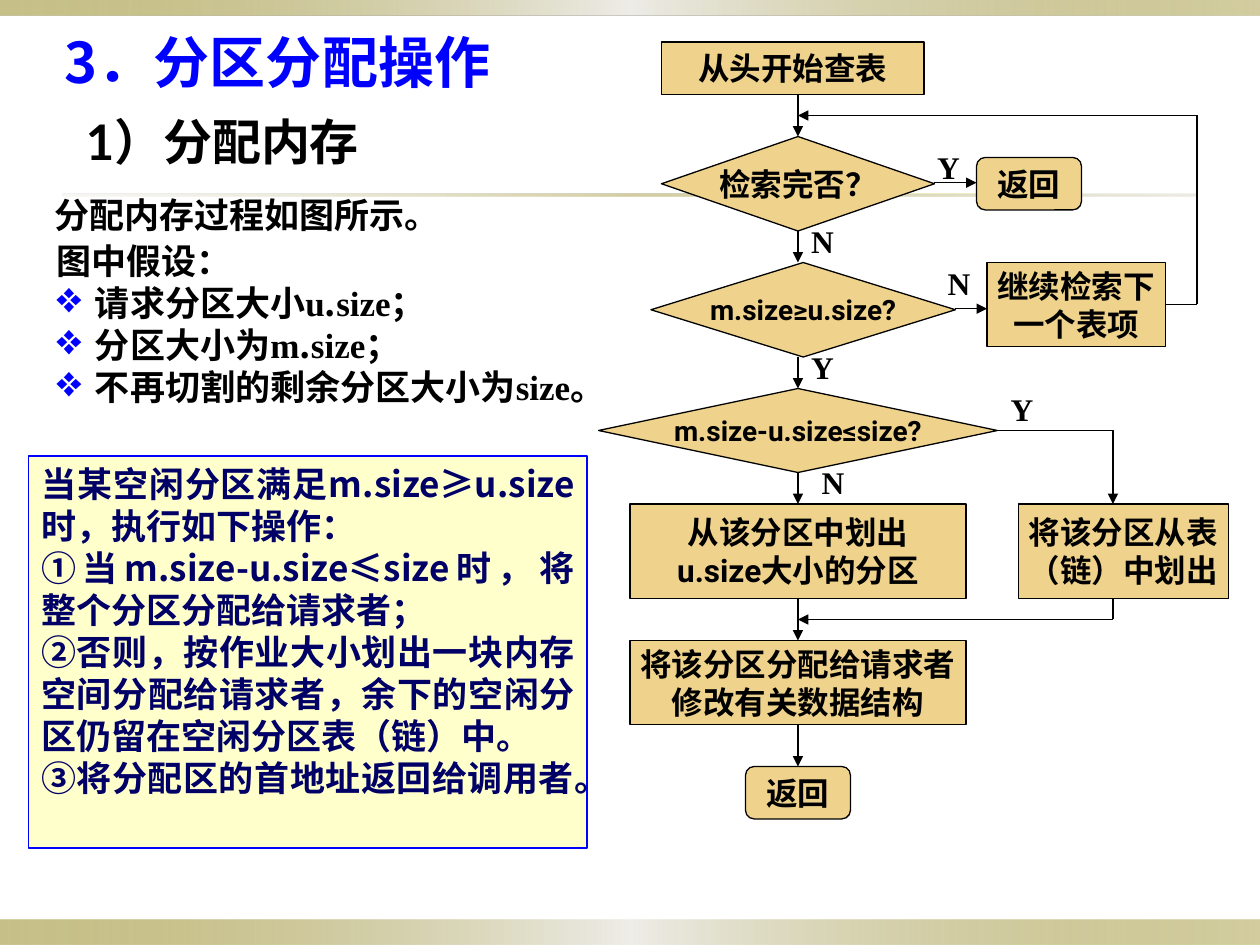
from lxml.etree import SubElement
from pptx import Presentation
from pptx.dml.color import RGBColor
from pptx.enum.shapes import MSO_CONNECTOR, MSO_SHAPE
from pptx.enum.text import MSO_ANCHOR, PP_ALIGN
from pptx.oxml import parse_xml
from pptx.oxml.ns import nsdecls, qn
from pptx.util import Pt

CJK, SERIF, FLOW, TITLE = "Noto Sans CJK SC", "Times New Roman", "Roboto", "Lato"
BLACK, BLUE, NAVY, TAN, CREAM = "000000", "0000FF", "000066", "EFD28C", "FFFFCC"

# (left, top, width, height), gradient stops as (position, colour, opacity) in percent
EDGE = [(0, "918415", 50), (50, "EEEDE8", 100), (100, "918415", 40)]
RULE = [(0, "DCD9CC", 20), (50, "918415", 40), (100, "DCD9CC", 50)]
BANDS = [((0, 525.6, 720, 14.4), EDGE), ((0, 0, 720, 8.64), EDGE),
         ((36, 110.9, 648, 1.44), RULE)]

# (left, top, width, height), size, paragraphs of (text, font) runs
TEXTS = [
    ((30, 12, 324, 45.6), 32, BLUE, [[("3．分区分配操作", CJK)]]),
    ((42, 60, 240, 41), 28, BLACK, [[("1", TITLE), ("）分配内存", CJK)]]),
    ((24, 107.3, 315, 31), 20, BLACK, [[("分配内存过程如图所示。", SERIF)]]),
]
ASSUMPTIONS = [
    [("图中假设：", SERIF)],
    [("请求分区大小u", SERIF), (".", CJK), ("size；", SERIF)],
    [("分区大小为m", SERIF), (".", CJK), ("size；", SERIF)],
    [("不再切割的剩余分区大小为size。", SERIF)],
]
STEPS = [
    "当某空闲分区满足m.size≥u.size时，执行如下操作：",
    "①当m.size-u.size≤size时，将整个分区分配给请求者；",
    "②否则，按作业大小划出一块内存空间分配给请求者，余下的空闲分区仍留在空闲分区表（链）中。",
    "③将分配区的首地址返回给调用者。",
]

PROCESS = MSO_SHAPE.FLOWCHART_PROCESS
DECISION = MSO_SHAPE.FLOWCHART_DECISION
END = MSO_SHAPE.FLOWCHART_ALTERNATE_PROCESS
# The flow chart sits on a 6 pt grid: kind, (left, top, width, height), size, lines
GRID = 6
NODES = [
    (PROCESS, (63, 4, 25, 5), 18, ["从头开始查表"]),
    (DECISION, (63, 13, 26, 9), 18, ["检索完否？"]),
    (DECISION, (62, 25, 29, 9), 16, ["m.size≥u.size?"]),
    (DECISION, (57, 37, 38, 8), 16, ["m.size-u.size≤size?"]),
    (PROCESS, (60, 48, 32, 9), 18, ["从该分区中划出", "u.size大小的分区"]),
    (PROCESS, (60, 61, 32, 8), 18, ["将该分区分配给请求者", "修改有关数据结构"]),
    (END, (71, 73, 10, 5), 18, ["返回"]),
    (END, (93, 15, 10, 5), 18, ["返回"]),
    (PROCESS, (94, 25, 17, 8), 18, ["继续检索下", "一个表项"]),
    (PROCESS, (97, 48, 20, 9), 18, ["将该分区从表", "（链）中划出"]),
]
# Each route is a run of straight lines; the last one carries the arrowhead
MAIN = 76
ROUTES = [[(MAIN, top), (MAIN, bottom)] for top, bottom in
          [(9, 13), (22, 25), (34, 37), (45, 48), (57, 61), (69, 73)]]
ROUTES += [
    [(89, 17.4), (93, 17.4)],
    [(91, 29.4), (94, 29.4)],
    [(95, 41), (106, 41), (106, 48)],
    [(106, 57), (106, 59), (MAIN, 59)],
    [(111, 29), (114, 29), (114, 11), (MAIN, 11)],
]
LABELS = [("N", 78, 44), ("Y", 89, 14), ("Y", 96, 37),
          ("Y", 77, 33), ("N", 77, 21), ("N", 90, 25)]


def color(value):
    return RGBColor.from_string(value)


def on_grid(*values):
    return [value * GRID for value in values]


def write(shape, paragraphs, size, ink, align=None):
    frame = shape.text_frame
    for index, runs in enumerate(paragraphs):
        para = frame.paragraphs[0] if index == 0 else frame.add_paragraph()
        para.alignment = align
        for text, font in runs:
            span = para.add_run()
            span.text = text
            span.font.size, span.font.bold, span.font.name = Pt(size), True, font
            span.font.color.rgb = color(ink)
            SubElement(span._r.get_or_add_rPr(), qn("a:ea"), typeface=CJK)


def add_text(page, place, paragraphs, size, ink):
    box = page.shapes.add_textbox(*map(Pt, place))
    box.text_frame.word_wrap = True
    write(box, paragraphs, size, ink)
    return box


def add_box(page, kind, place, fill, line):
    box = page.shapes.add_shape(kind, *map(Pt, place))
    box.shadow.inherit = False
    box.fill.solid()
    box.fill.fore_color.rgb = color(fill)
    box.line.color.rgb = color(line)
    box.line.width = Pt(0.75)
    return box


def add_band(page, place, stops):
    band = page.shapes.add_shape(MSO_SHAPE.RECTANGLE, *map(Pt, place))
    band.shadow.inherit = False
    band.line.fill.background()
    marks = "".join(
        f'<a:gs pos="{position * 1000}"><a:srgbClr val="{tint}">'
        f'<a:alpha val="{opacity * 1000}"/></a:srgbClr></a:gs>'
        for position, tint, opacity in stops)
    gradient = parse_xml(f'<a:gradFill {nsdecls("a")} rotWithShape="1"><a:gsLst>{marks}'
                         '</a:gsLst><a:lin ang="0" scaled="1"/></a:gradFill>')
    band._element.spPr.find(qn("a:prstGeom")).addnext(gradient)


def add_line(page, start, end, arrow):
    line = page.shapes.add_connector(MSO_CONNECTOR.STRAIGHT,
                                     *map(Pt, on_grid(*start, *end)))
    line.line.color.rgb = color(BLACK)
    line.line.width = Pt(0.75)
    if arrow:
        SubElement(line.line._get_or_add_ln(), qn("a:tailEnd"), type="triangle")
    SubElement(line._element.spPr, qn("a:effectLst"))


def add_bullet(para, indent):
    properties = para._p.get_or_add_pPr()
    properties.set("marL", str(Pt(indent)))
    properties.set("indent", str(-Pt(indent)))
    tint = SubElement(properties, qn("a:buClr"))
    SubElement(tint, qn("a:srgbClr"), val=BLUE)
    SubElement(properties, qn("a:buSzPct"), val="125000")
    SubElement(properties, qn("a:buChar"), char="❖")


def main():
    deck = Presentation()
    deck.slide_width, deck.slide_height = Pt(720), Pt(540)
    page = deck.slides.add_slide(deck.slide_layouts[6])

    for place, stops in BANDS:
        add_band(page, place, stops)
    for place, size, ink, paragraphs in TEXTS:
        add_text(page, place, paragraphs, size, ink)

    assumptions = add_text(page, (25.2, 133.2, 358, 103), ASSUMPTIONS, 20, BLACK)
    for para in assumptions.text_frame.paragraphs[1:]:
        add_bullet(para, 22)

    steps = add_box(page, MSO_SHAPE.RECTANGLE, (16.5, 260.6, 319, 224), CREAM, BLUE)
    steps.text_frame.vertical_anchor = MSO_ANCHOR.TOP
    write(steps, [[(step, CJK)] for step in STEPS], 20, NAVY, PP_ALIGN.JUSTIFY)

    for kind, cells, size, lines in NODES:
        node = add_box(page, kind, on_grid(*cells), TAN, BLACK)
        node.text_frame.word_wrap = False
        node.text_frame.vertical_anchor = MSO_ANCHOR.MIDDLE
        write(node, [[(line, FLOW)] for line in lines], size, BLACK, PP_ALIGN.CENTER)

    for route in ROUTES:
        for index, (start, end) in enumerate(zip(route, route[1:]), 2):
            add_line(page, start, end, arrow=index == len(route))

    for letter, left, top in LABELS:
        label = add_text(page, (*on_grid(left, top), 18, 23), [[(letter, SERIF)]], 18, BLACK)
        frame = label.text_frame
        frame.margin_left = frame.margin_right = Pt(1.44)
        frame.margin_top = frame.margin_bottom = Pt(0.72)

    deck.save("out.pptx")


if __name__ == "__main__":
    main()
